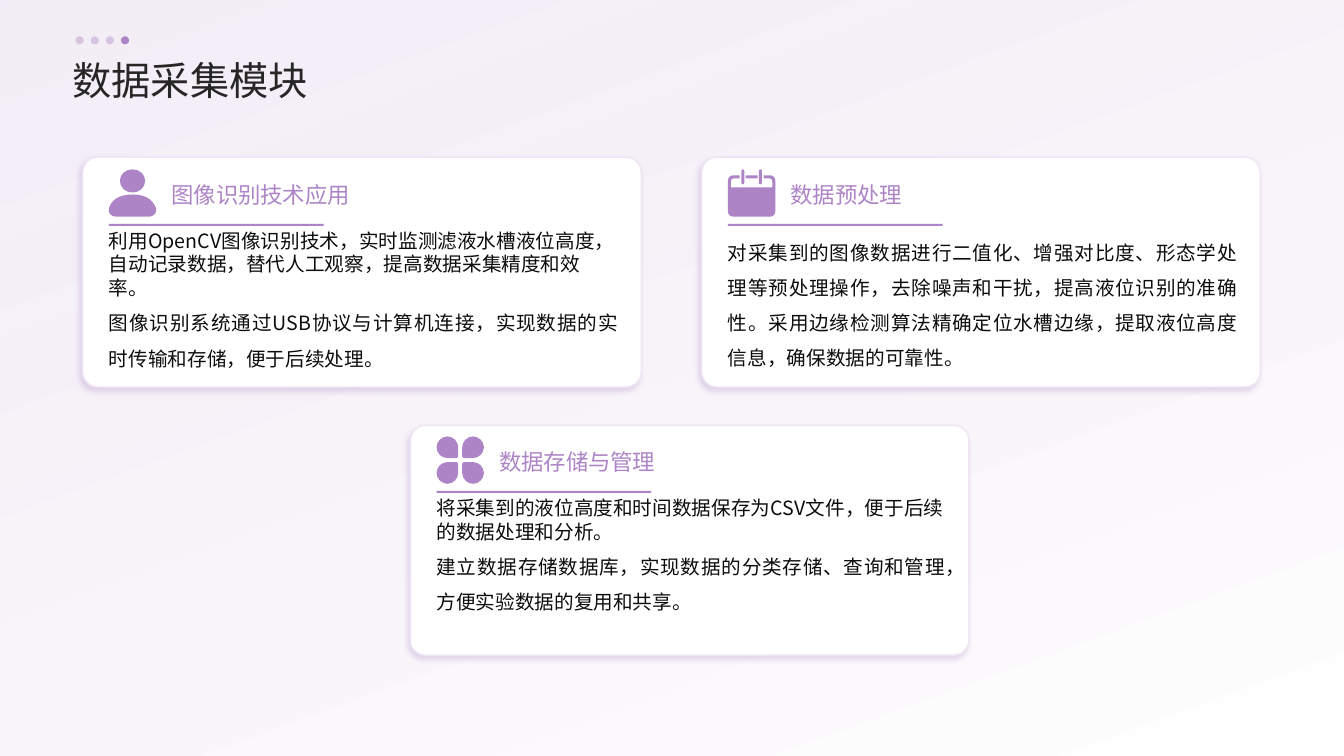
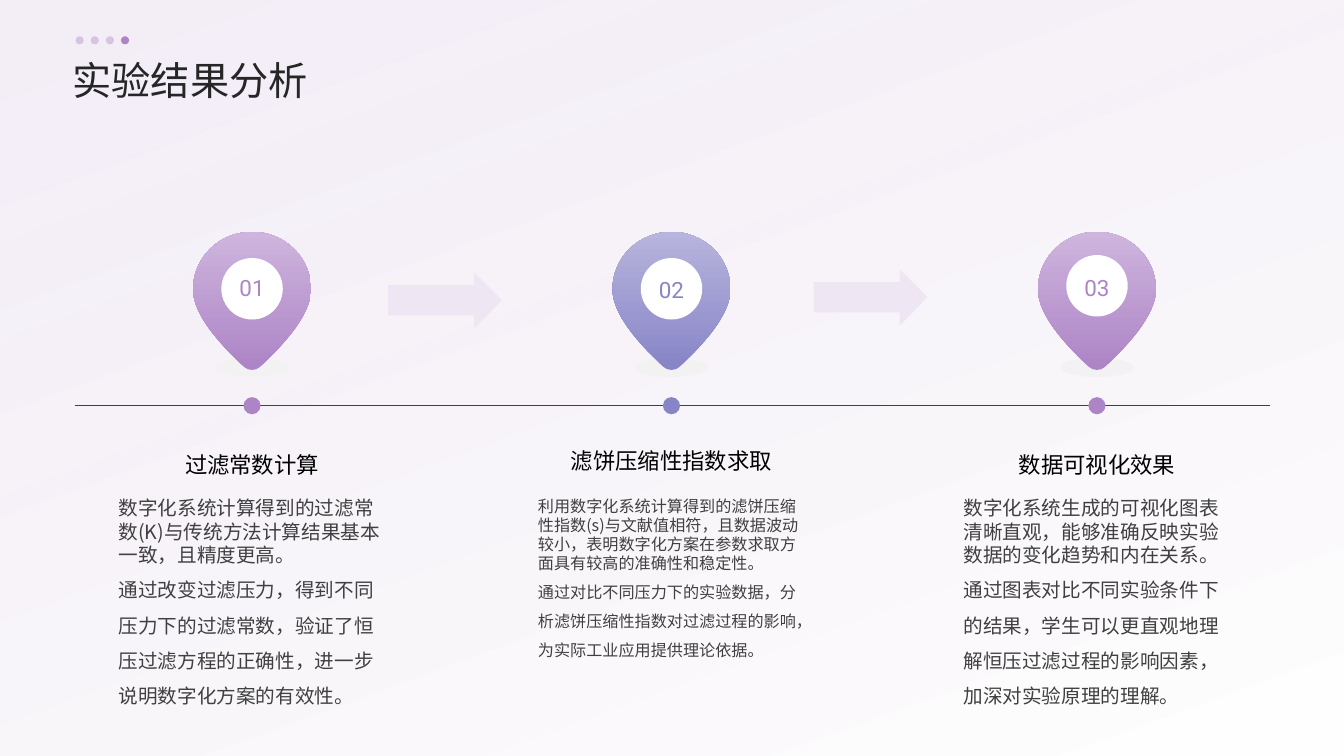
from lxml.etree import SubElement
from pptx import Presentation
from pptx.dml.color import RGBColor
from pptx.enum.shapes import MSO_CONNECTOR as CONNECTOR, MSO_SHAPE as SHAPE
from pptx.enum.text import MSO_ANCHOR as ANCHOR, PP_ALIGN as ALIGN
from pptx.oxml.ns import qn
from pptx.util import Inches, Pt

COLOURS = {
    "purple": "AD84C6", "light purple": "CEB5DD", "pale purple": "EFE6F4",
    "blue": "8784C7", "light blue": "B7B5DD", "shadow": "874EA9",
    "white": "FFFFFF", "ground": "F2F2F2", "black": "000000",
    "title": "262626", "card text": "0D0D0D", "grey": "404040",
}
CJK_FONT = "Noto Sans CJK SC"
NUMBER_FONT = "Roboto"

PERSON = [
    [(23.5, 25), (39, 25, 44, 32, 47, 39), (48, 43, 44, 47, 40, 47), (7, 47),
     (2, 47, -1, 43, 0, 39), (2, 32, 8, 25, 23.5, 25)],
    [(23.5, 0), (30.5, 0, 36, 5, 36, 11.5), (36, 18, 30.5, 23, 23.5, 23),
     (16.5, 23, 11, 18, 11, 11.5), (11, 5, 16.5, 0, 23.5, 0)],
]
CALENDAR = [
    [(17.5, 6), (29.5, 6), (29.5, 9), (17.5, 9)],
    [(5.5, 6), (11.5, 6), (11.5, 9), (5.5, 9), (4, 9, 3, 10, 3, 12), (3, 18),
     (44, 18), (44, 12), (44, 10, 43, 9, 41.5, 9), (35.5, 9), (35.5, 6), (41.5, 6),
     (45, 6, 47, 8, 47, 12), (47, 41), (47, 45, 45, 47, 41, 47), (6, 47),
     (2, 47, 0, 45, 0, 41), (0, 12), (0, 8, 2, 6, 5.5, 6)],
] + [
    [(x, 0), (x + 1, 0, x + 1.5, 1, x + 1.5, 2), (x + 1.5, 13),
     (x + 1.5, 14, x + 1, 15, x, 15), (x - 1, 15, x - 1.5, 14, x - 1.5, 13),
     (x - 1.5, 2), (x - 1.5, 1, x - 1, 0, x, 0)]
    for x in (14.8, 32.2)
]
PETAL = [(3.5, 2), (12.7, 2), (18.5, 2, 23.5, 7, 23.5, 12.7), (23.5, 18.5, 18.5, 23.5, 12.7, 23.5),
         (7, 23.5, 2, 18.5, 2, 12.7), (2, 3.5), (2, 2.5, 2.5, 2, 3.5, 2)]
FLOWER = [
    [tuple(23.5 + value * (side_y if index % 2 else side_x) for index, value in enumerate(step))
     for step in PETAL]
    for side_x in (-1, 1) for side_y in (-1, 1)
]
PIN = [[(8, 134), (42, 102, 58.5, 77, 58.5, 57), (58.5, 25, 32, 0, 0, 0),
        (-32, 0, -58.5, 25, -58.5, 57), (-58.5, 77, -42, 102, -8, 134),
        (-6, 136, -3, 137, 0, 137), (3, 137, 6, 136, 8, 134)]]


def add_shape(shapes, form, box, colour):
    lengths = [Inches(value) for value in box]
    if isinstance(form, list):
        contours = [[tuple(round(value * 10) for value in step) for step in contour]
                    for contour in form]
        start = contours[0][0]
        builder = shapes.build_freeform(*start, scale=Inches(1) / 1000)
        for contour in contours:
            if contour is not contours[0]:
                builder.move_to(*contour[0])
            builder.add_line_segments([step[-2:] for step in contour[1:]], close=True)
        shape = builder.convert_to_shape(*lengths)
        steps = [step for contour in contours for step in contour[1:]]
        left = min(step[-2] for contour in contours for step in contour)
        top = min(step[-1] for contour in contours for step in contour)
        for segment, step in zip(list(shape.element.iter(qn("a:lnTo"))), steps):
            if len(step) == 6:
                curve = SubElement(segment.getparent(), qn("a:cubicBezTo"))
                for x, y in zip(step[::2], step[1::2]):
                    SubElement(curve, qn("a:pt"), x=str(x - left), y=str(y - top))
                segment.getparent().replace(segment, curve)
    else:
        shape = shapes.add_shape(form, *lengths)
    shape.shadow.inherit = False
    shape.line.fill.background()
    if isinstance(colour, tuple):
        shape.fill.gradient()
        for stop, name in zip(shape.fill.gradient_stops, colour):
            stop.color.rgb = RGBColor.from_string(COLOURS[name])
        shape.fill.gradient_angle = 90
    else:
        shape.fill.solid()
        shape.fill.fore_color.rgb = RGBColor.from_string(COLOURS[colour])
    return shape


def add_text(slide, box, text, size, colour, align=ALIGN.LEFT, spacing=1.0,
             anchor=ANCHOR.TOP, font=CJK_FONT):
    text_frame = slide.shapes.add_textbox(*[Inches(value) for value in box]).text_frame
    text_frame.word_wrap = True
    text_frame.margin_left = text_frame.margin_right = 0
    text_frame.margin_top = text_frame.margin_bottom = 0
    text_frame.vertical_anchor = anchor
    text_frame.text = text
    *openings, closing = text_frame.paragraphs
    for paragraph in openings:
        paragraph.alignment = ALIGN.LEFT
        paragraph.line_spacing = 1.0
        paragraph._p.get_or_add_pPr().set("hangingPunct", "0")
    closing.alignment = align
    closing.line_spacing = spacing
    for paragraph in text_frame.paragraphs:
        for run in paragraph.runs:
            run.font.size = Pt(size)
            run.font.color.rgb = RGBColor.from_string(COLOURS[colour])
            run.font.name = font
            SubElement(run._r.get_or_add_rPr(), qn("a:ea")).set("typeface", font)


presentation = Presentation()
presentation.slide_width = Inches(13.33)
presentation.slide_height = Inches(7.5)

slides = []
for title in ("数据采集模块", "实验结果分析"):
    slide = presentation.slides.add_slide(presentation.slide_layouts[6])
    slides.append(slide)
    background = add_shape(slide.shapes, SHAPE.RECTANGLE, (0, 0, 13.33, 7.5), ("pale purple", "white"))
    background.fill.gradient_angle = 290
    for colour, opacity in zip(background.element.iter(qn("a:srgbClr")), (67, 92)):
        SubElement(colour, qn("a:alpha")).set("val", str(opacity * 1000))
    add_text(slide, (0.72, 0.51, 11.88, 0.51), title, 28, "title", spacing=1.1, anchor=ANCHOR.MIDDLE)
    dots = slide.shapes.add_group_shape()
    for index in range(4):
        dot = add_shape(dots.shapes, SHAPE.OVAL, (0.75 + index * 0.15, 0.36, 0.08, 0.08), "purple")
        if index < 3:
            colour = next(dot.element.iter(qn("a:srgbClr")))
            SubElement(colour, qn("a:alpha")).set("val", "40000")

module_slide, result_slide = slides

cards = [
    (0.82, 1.56, 1.68, PERSON, "图像识别技术应用",
     "利用OpenCV图像识别技术，实时监测滤液水槽液位高度，自动记录数据，替代人工观察，提高数据采集精度和效率。\n"
     "图像识别系统通过USB协议与计算机连接，实现数据的实时传输和存储，便于后续处理。"),
    (6.96, 1.56, 1.68, CALENDAR, "数据预处理",
     "对采集到的图像数据进行二值化、增强对比度、形态学处理等预处理操作，去除噪声和干扰，"
     "提高液位识别的准确性。采用边缘检测算法精确定位水槽边缘，提取液位高度信息，确保数据的可靠性。"),
    (4.07, 4.22, 4.33, FLOWER, "数据存储与管理",
     "将采集到的液位高度和时间数据保存为CSV文件，便于后续的数据处理和分析。\n"
     "建立数据存储数据库，实现数据的分类存储、查询和管理，方便实验数据的复用和共享。"),
]
for left, top, icon_top, icon, heading, body in cards:
    card = add_shape(module_slide.shapes, SHAPE.ROUNDED_RECTANGLE, (left, top, 5.54, 2.28), "white")
    card.adjustments[0] = 0.066
    card.line.color.rgb = RGBColor.from_string(COLOURS["pale purple"])
    card.line.width = Pt(0.95)
    effects = next(card.element.iter(qn("a:effectLst")))
    shadow = SubElement(effects, qn("a:outerShdw"), blurRad=str(Pt(4)), dist=str(Pt(3)),
                        dir=str(135 * 60000), algn="tr", rotWithShape="0")
    colour = SubElement(shadow, qn("a:srgbClr"), val=COLOURS["shadow"])
    SubElement(colour, qn("a:alpha"), val="20000")
    inner = left + 0.26
    add_shape(module_slide.shapes, icon, (inner, icon_top), "purple")
    add_shape(module_slide.shapes, SHAPE.RECTANGLE, (inner, icon_top + 0.54, 2.13, 0.02), "purple")
    add_text(module_slide, (inner + 0.62, icon_top + 0.12, 4.43, 0.3), heading, 16, "purple")
    add_text(module_slide, (inner, icon_top + 0.59, 5.05, 1.54), body, 14, "card text", ALIGN.JUSTIFY, 1.5)

axis = result_slide.shapes.add_connector(
    CONNECTOR.STRAIGHT, Inches(0.74), Inches(4.02), Inches(12.6), Inches(4.02))
axis.line.color.rgb = RGBColor.from_string(COLOURS["grey"])
axis.line.width = Pt(0.5)
SubElement(axis.element.spPr, qn("a:effectLst"))

results = [
    (2.5, "01", "purple", 2.56, 2.68, 4.27, 14, "过滤常数计算",
     "数字化系统计算得到的过滤常数(K)与传统方法计算结果基本一致，且精度更高。\n"
     "通过改变过滤压力，得到不同压力下的过滤常数，验证了恒压过滤方程的正确性，进一步说明数字化方案的有效性。"),
    (6.66, "02", "blue", 2.56, 2.7, 4.23, 11.5, "滤饼压缩性指数求取",
     "利用数字化系统计算得到的滤饼压缩性指数(s)与文献值相符，且数据波动较小，"
     "表明数字化方案在参数求取方面具有较高的准确性和稳定性。\n"
     "通过对比不同压力下的实验数据，分析滤饼压缩性指数对过滤过程的影响，为实际工业应用提供理论依据。"),
    (10.88, "03", "purple", 2.53, 2.68, 4.27, 14, "数据可视化效果",
     "数字化系统生成的可视化图表清晰直观，能够准确反映实验数据的变化趋势和内在关系。\n"
     "通过图表对比不同实验条件下的结果，学生可以更直观地理解恒压过滤过程的影响因素，加深对实验原理的理解。"),
]
for centre, number, colour, disc_top, number_top, heading_top, size, heading, body in results:
    shapes = result_slide.shapes
    add_shape(shapes, SHAPE.OVAL, (centre - 0.73 / 2, 3.55, 0.73, 0.19), "ground")
    add_shape(shapes, PIN, (centre, 2.3), (colour, "light " + colour))
    add_shape(shapes, SHAPE.OVAL, (centre - 0.61 / 2, disc_top, 0.61, 0.61), "white")
    add_shape(shapes, SHAPE.OVAL, (centre - 0.17 / 2, 3.94, 0.17, 0.17), colour)
    add_text(result_slide, (centre - 0.53 / 2, number_top, 0.53, 0.31), number, 16, colour,
             ALIGN.CENTER, 1.3, ANCHOR.BOTTOM, NUMBER_FONT)
    add_text(result_slide, (centre - 2.78 / 2, heading_top, 2.78, 0.47), heading, 16, "black",
             ALIGN.CENTER, 1.3, ANCHOR.BOTTOM)
    add_text(result_slide, (centre - 2.65 / 2, 4.92, 2.65, 1.9), body, size, "grey", spacing=1.5)

for left, top in ((3.85, 2.7), (8.07, 2.67)):
    arrow = add_shape(result_slide.shapes, SHAPE.RIGHT_ARROW, (left, top, 1.13, 0.56), "pale purple")
    arrow.adjustments[0] = 0.538
    arrow.adjustments[1] = 0.495

presentation.save("out.pptx")
